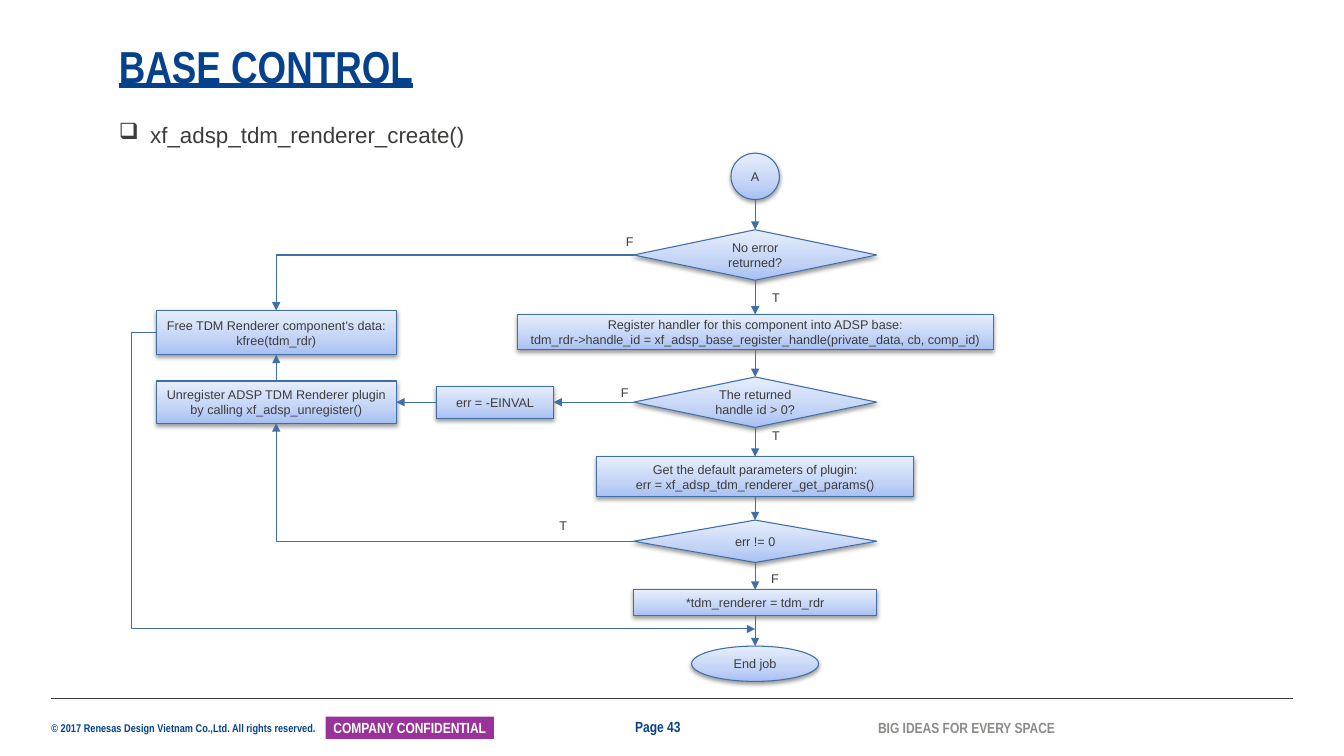
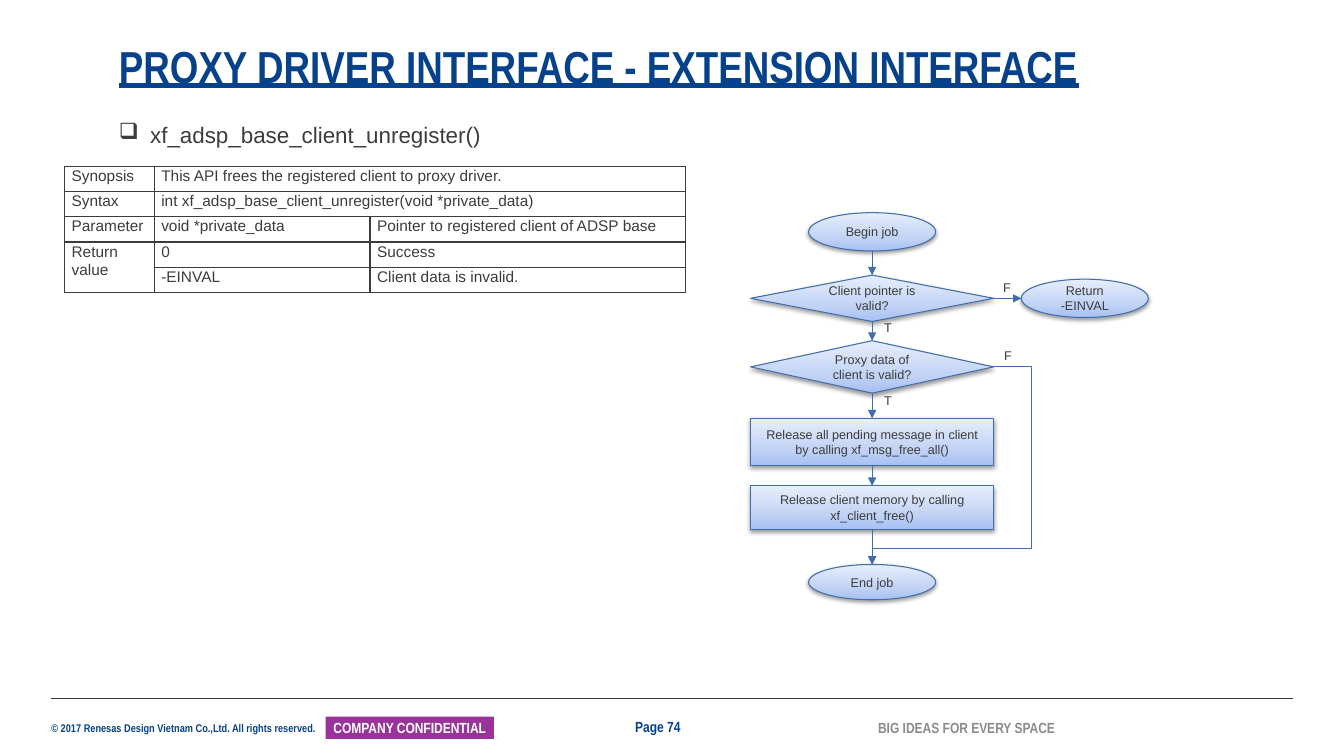
from copy import deepcopy
from dataclasses import dataclass

from lxml.etree import SubElement
from pptx import Presentation
from pptx.dml.color import RGBColor
from pptx.enum.shapes import MSO_CONNECTOR as CONN, MSO_SHAPE as SHAPE
from pptx.enum.text import MSO_ANCHOR as ANCHOR, PP_ALIGN as ALIGN
from pptx.oxml.ns import qn
from pptx.util import Inches, Pt


@dataclass(frozen=True)
class Theme:
    navy: str = "06418C"
    ink: str = "3C3C3B"
    grey: str = "8B8B89"
    purple: str = "993399"
    white: str = "FFFFFF"
    edge: str = "406EA8"
    gradient: tuple = ((0, "A7C0F3"), (0.35, "C2D3F5"), (1, "E7EEFC"))
    body: str = "Arial"
    narrow: str = "Arial Narrow"
    title_pt: float = 32
    head_pt: float = 16
    table_pt: float = 11
    footer_pt: float = 10.5
    flow_pt: float = 9
    legal_pt: float = 8


T = Theme()
TOP, LEFT, BOTTOM, RIGHT = range(4)
BOX, OVAL, TEST = SHAPE.RECTANGLE, SHAPE.OVAL, SHAPE.FLOWCHART_DECISION

# Nodes: kind, centre x, top, width, height, lines of text
# Links: start node, side, end node or point, side, x and y of the bends
# Labels: left, top, text
CREATE = {
    "page": 43,
    "title": "BASE CONTROL",
    "head": "xf_adsp_tdm_renderer_create()",
    "nodes": {
        "a": (OVAL, 7.49, 1.52, 0.48, 0.46, ["A"]),
        "no_error": (TEST, 7.49, 2.28, 2.41, 0.5, ["No error returned?"]),
        "register": (BOX, 7.49, 3.12, 4.72, 0.35, [
            "Register handler for this component into ADSP base:",
            "tdm_rdr->handle_id = xf_adsp_base_register_handle(private_data, cb, comp_id)"]),
        "handle": (TEST, 7.49, 3.74, 2.41, 0.5, ["The returned handle id > 0?"]),
        "params": (BOX, 7.49, 4.53, 3.15, 0.4, [
            "Get the default parameters of plugin:",
            "err = xf_adsp_tdm_renderer_get_params()"]),
        "err": (TEST, 7.49, 5.16, 2.41, 0.42, ["err != 0"]),
        "assign": (BOX, 7.49, 5.85, 2.41, 0.26, ["*tdm_renderer = tdm_rdr"]),
        "end": (OVAL, 7.49, 6.41, 1.26, 0.35, ["End job"]),
        "free": (BOX, 2.74, 3.08, 2.38, 0.44, [
            "Free TDM Renderer component’s data:", "kfree(tdm_rdr)"]),
        "unregister": (BOX, 2.74, 3.78, 2.38, 0.42, [
            "Unregister ADSP TDM Renderer plugin by calling xf_adsp_unregister()"]),
        "einval": (BOX, 4.91, 3.83, 1.16, 0.32, ["err = -EINVAL"]),
    },
    "chain": ["a", "no_error", "register", "handle", "params", "err", "assign", "end"],
    "links": [
        ("handle", LEFT, "einval", RIGHT, None),
        ("einval", LEFT, "unregister", RIGHT, None),
        ("unregister", TOP, "free", BOTTOM, None),
        ("err", LEFT, "unregister", BOTTOM, ()),
        ("no_error", LEFT, "free", TOP, ()),
        ("free", LEFT, (7.49, 6.24), None, (1.3,)),
    ],
    "labels": [(7.56, 2.83, "T"), (7.56, 4.2, "T"), (6.11, 2.27, "F"),
               (6.06, 3.77, "F"), (7.55, 5.61, "F"), (5.45, 5.09, "T")],
}
UNREGISTER = {
    "page": 74,
    "title": "PROXY DRIVER INTERFACE - EXTENSION INTERFACE",
    "head": "xf_adsp_base_client_unregister()",
    "nodes": {
        "begin": (OVAL, 8.65, 2.11, 1.26, 0.38, ["Begin job"]),
        "pointer": (TEST, 8.65, 2.73, 2.41, 0.46, ["Client pointer is valid?"]),
        "proxy": (TEST, 8.65, 3.38, 2.41, 0.52, ["Proxy data of client is valid?"]),
        "messages": (BOX, 8.65, 4.15, 2.41, 0.47, [
            "Release all pending message in client by calling xf_msg_free_all()"]),
        "memory": (BOX, 8.65, 4.82, 2.41, 0.43, [
            "Release client memory by calling xf_client_free()"]),
        "end": (OVAL, 8.65, 5.6, 1.26, 0.35, ["End job"]),
        "return": (OVAL, 10.76, 2.77, 1.26, 0.38, ["Return", "-EINVAL"]),
    },
    "chain": ["begin", "pointer", "proxy", "messages", "memory", "end"],
    "links": [
        ("pointer", RIGHT, "return", LEFT, None),
        ("proxy", RIGHT, "end", TOP, (10.23, 5.44)),
    ],
    "labels": [(9.86, 3.4, "F"), (8.67, 3.85, "T"), (9.85, 2.73, "F"), (8.67, 3.12, "T")],
}
API_COLUMNS = [0.89, 2.14, 3.13]
API_ROW = 0.25
API_ROWS = [
    ["Synopsis", "This API frees the registered client to proxy driver.", None],
    ["Syntax", "int xf_adsp_base_client_unregister(void *private_data)", None],
    ["Parameter", "void *private_data", "Pointer to registered client of ADSP base"],
    ["Return value", "0", "Success"],
    [None, "-EINVAL", "Client data is invalid."],
]
API_MERGES = [((0, 1), (0, 2)), ((1, 1), (1, 2)), ((3, 0), (4, 0))]


def rgb(color):
    return RGBColor.from_string(color)


def add(parent, tag, **attrs):
    return SubElement(parent, qn(tag), {k: str(v) for k, v in attrs.items()})


def write(tf, lines, size, font=T.body, color=T.ink, bold=False, underline=False,
          align=ALIGN.LEFT, spacing=None, after=None, bullet=None):
    for i, line in enumerate(lines):
        p = tf.add_paragraph() if i else tf.paragraphs[0]
        if bullet:
            pPr = p._p.get_or_add_pPr()
            pPr.set("marL", str(Inches(0.31)))
            pPr.set("indent", str(-Inches(0.31)))
            add(add(pPr, "a:buClr"), "a:srgbClr", val=color)
            add(pPr, "a:buChar", char=bullet)
        p.alignment = align
        if spacing:
            p.line_spacing = spacing
        if after:
            p.space_after = Pt(after)
        r = p.add_run()
        r.text = line
        f = r.font
        f.size, f.name, f.bold, f.underline = Pt(size), font, bold, underline
        f.color.rgb = rgb(color)


def set_insets(tf, side, end):
    tf.margin_left = tf.margin_right = Inches(side)
    tf.margin_top = tf.margin_bottom = Inches(end)


def add_text(s, at, text, size, insets=(0, 0), anchor=ANCHOR.TOP, wrap=True, **fmt):
    tf = s.shapes.add_textbox(*map(Inches, at)).text_frame
    tf.word_wrap, tf.vertical_anchor = wrap, anchor
    set_insets(tf, *insets)
    write(tf, [text], size, **fmt)


def add_line(s, start, end, color, width, kind=CONN.STRAIGHT):
    line = s.shapes.add_connector(kind, *map(Inches, (*start, *end)))
    line.line.color.rgb, line.line.width = rgb(color), Pt(width)
    add(line._element.spPr, "a:effectLst")
    return line


def add_base(prs, page, title, head):
    """Slide with title, heading and footer."""
    s = prs.slides.add_slide(prs.slide_layouts[6])
    strong = dict(font=T.narrow, bold=True)
    add_text(s, (0.51, 7.16, 2.67, 0.13),
             "© 2017 Renesas Design Vietnam Co.,Ltd. All rights reserved.",
             T.legal_pt, wrap=False, color=T.navy, **strong)
    add_line(s, (0.51, 6.93), (12.82, 6.93), T.ink, 0.5)
    tag = s.shapes.add_shape(BOX, *map(Inches, (3.23, 7.11, 1.67, 0.22)))
    tag.shadow.inherit = False
    tag.fill.solid()
    tag.fill.fore_color.rgb = rgb(T.purple)
    tag.line.fill.background()
    set_insets(tag.text_frame, 0.04, 0)
    write(tag.text_frame, ["COMPANY CONFIDENTIAL"], T.footer_pt, color=T.white,
          align=ALIGN.CENTER, **strong)
    for at, text, color in (((8.71, 7.13, 1.8, 0.18), "BIG IDEAS FOR EVERY SPACE", T.grey),
                            ((6.3, 7.12, 0.73, 0.18), f"Page {page}", T.navy)):
        add_text(s, at, text, T.footer_pt, anchor=ANCHOR.MIDDLE, color=color, **strong)
    add_text(s, (1.18, 0.44, 10.84, 0.48), title, T.title_pt, anchor=ANCHOR.BOTTOM,
             color=T.navy, underline=True, spacing=0.9, **strong)
    add_text(s, (1.18, 1.15, 6.51, 0.32), head, T.head_pt, spacing=1.2, after=8, bullet="❑")
    return s


def add_node(s, kind, cx, top, width, height, lines):
    sp = s.shapes.add_shape(kind, *map(Inches, (cx - width / 2, top, width, height)))
    sp.fill.gradient()
    sp.fill.gradient_angle = 90
    stops = sp._element.spPr.find(".//" + qn("a:gsLst"))
    stops.append(deepcopy(stops[0]))
    for stop, (position, color) in zip(sp.fill.gradient_stops, T.gradient):
        stop.position, stop.color.rgb = position, rgb(color)
    sp.line.color.rgb, sp.line.width = rgb(T.edge), Pt(0.75)
    sp.shadow.inherit = False
    shadow = add(sp._element.spPr.find(qn("a:effectLst")), "a:outerShdw",
                 blurRad=Pt(3.1), dist=Pt(1.6), dir=5400000, rotWithShape=0)
    add(add(shadow, "a:srgbClr", val="000000"), "a:alpha", val=38000)
    sp.text_frame.word_wrap = True
    write(sp.text_frame, lines, T.flow_pt, align=ALIGN.CENTER)
    return sp


def side_point(node, side):
    _, cx, top, width, height, _ = node
    return {TOP: (cx, top), BOTTOM: (cx, top + height),
            LEFT: (cx - width / 2, top + height / 2),
            RIGHT: (cx + width / 2, top + height / 2)}[side]


def add_link(s, nodes, shapes, source, side, target, target_side, bends):
    """Arrow; bends is None if straight, else the x and y where an elbow turns."""
    free = isinstance(target, tuple)
    start = side_point(nodes[source], side)
    end = target if free else side_point(nodes[target], target_side)
    kind = CONN.STRAIGHT if bends is None else CONN.ELBOW
    line = add_line(s, start, end, T.edge, 0.75, kind)
    spPr = line._element.spPr
    add(spPr.find(qn("a:ln")), "a:tailEnd", type="triangle")
    if bends is not None:
        geom = spPr.find(qn("a:prstGeom"))
        geom.set("prst", f"bentConnector{2 + len(bends)}")
        for i, bend in enumerate(bends):
            share = (bend - start[i]) / (end[i] - start[i])
            add(geom.find(qn("a:avLst")), "a:gd", name=f"adj{i + 1}",
                fmla=f"val {round(share * 100000)}")
    # Ovals number their other sites differently, so only their top is joined.
    if nodes[source][0] != OVAL:
        line.begin_connect(shapes[source], side)
    if not free and (nodes[target][0] != OVAL or target_side == TOP):
        line.end_connect(shapes[target], target_side)


def add_flow(s, nodes, chain, links, labels):
    shapes = {name: add_node(s, *node) for name, node in nodes.items()}
    steps = [(a, BOTTOM, b, TOP, None) for a, b in zip(chain, chain[1:])]
    for link in steps + links:
        add_link(s, nodes, shapes, *link)
    for left, top, text in labels:
        add_text(s, (left, top, 0.3, 0.25), text, T.flow_pt, insets=(0.1, 0.05))


def add_api_table(s, left, top):
    size = (sum(API_COLUMNS), API_ROW * len(API_ROWS))
    table = s.shapes.add_table(len(API_ROWS), len(API_COLUMNS),
                               *map(Inches, (left, top, *size))).table
    table.first_row = table.horz_banding = False
    for column, width in zip(table.columns, API_COLUMNS):
        column.width = Inches(width)
    for first, last in API_MERGES:
        table.cell(*first).merge(table.cell(*last))
    for i, row in enumerate(API_ROWS):
        table.rows[i].height = Inches(API_ROW)
        for j, text in enumerate(row):
            cell = table.cell(i, j)
            set_insets(cell, 0.07, 0)
            tcPr = cell._tc.get_or_add_tcPr()
            for edge in ("a:lnL", "a:lnR", "a:lnT", "a:lnB"):
                border = add(tcPr, edge, w=Pt(1))
                add(add(border, "a:solidFill"), "a:srgbClr", val=T.ink)
            cell.fill.background()
            if text:
                write(cell.text_frame, [text], T.table_pt, spacing=1.07)


def main():
    prs = Presentation()
    prs.slide_width, prs.slide_height = Inches(13.33), Inches(7.5)
    for deck in (CREATE, UNREGISTER):
        s = add_base(prs, deck["page"], deck["title"], deck["head"])
        add_flow(s, deck["nodes"], deck["chain"], deck["links"], deck["labels"])
    add_api_table(s, 0.64, 1.65)
    prs.save("out.pptx")


if __name__ == "__main__":
    main()
